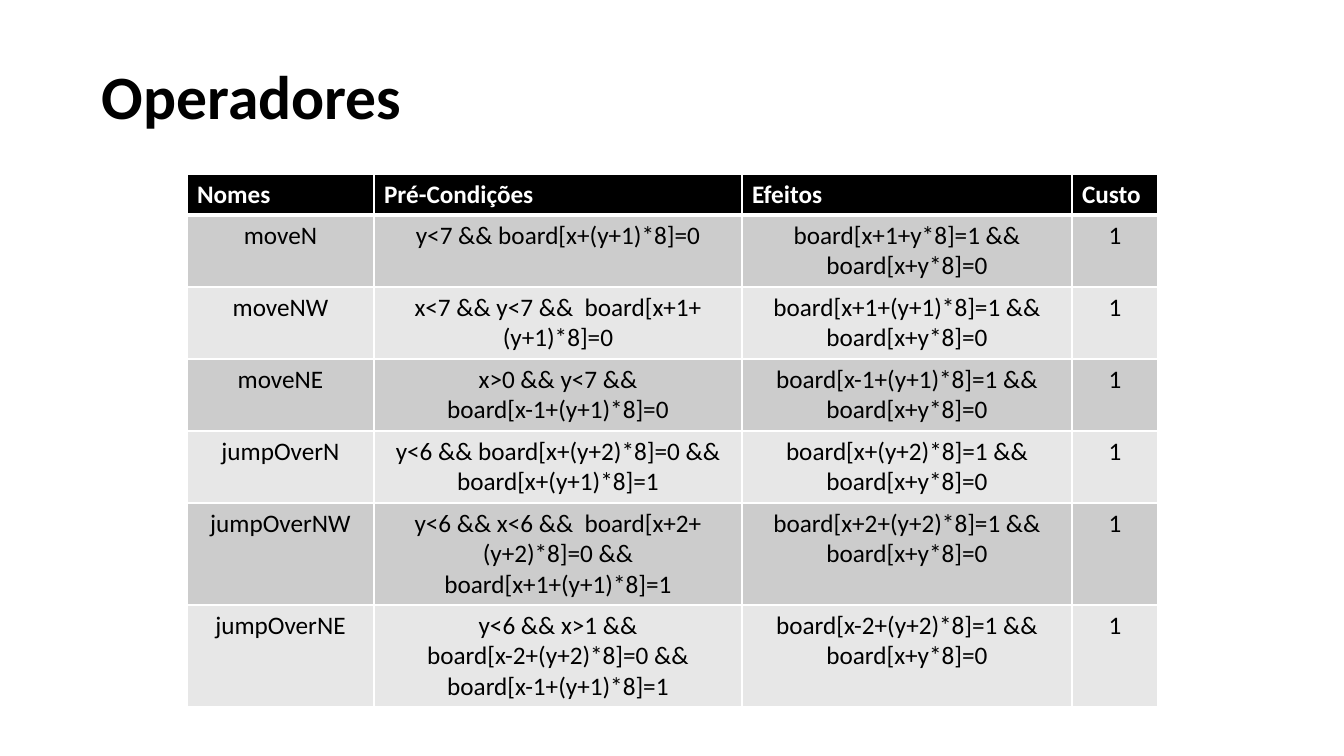
from dataclasses import dataclass

from lxml.etree import SubElement
from pptx import Presentation
from pptx.dml.color import RGBColor
from pptx.enum.text import MSO_ANCHOR, PP_ALIGN
from pptx.oxml.ns import qn
from pptx.util import Emu, Pt

PX_PER_INCH = 100.8


@dataclass(frozen=True)
class Theme:
    font: str = "Calibri"
    title_size: int = 44
    table_size: int = 18
    dark: str = "000000"
    light: str = "FFFFFF"
    bands: tuple = ("CCCCCC", "E7E7E7")
    thin_line: int = 1
    thick_line: int = 3


THEME = Theme()

HEADINGS = ("Nomes", "Pré-Condições", "Efeitos", "Custo")
OPERATORS = (
    ("moveN", "y<7 && board[x+(y+1)*8]=0",
     "board[x+1+y*8]=1 &&\nboard[x+y*8]=0", "1"),
    ("moveNW", "x<7 && y<7 &&  board[x+1+(y+1)*8]=0",
     "board[x+1+(y+1)*8]=1 &&\nboard[x+y*8]=0", "1"),
    ("moveNE", "x>0 && y<7 &&\nboard[x-1+(y+1)*8]=0",
     "board[x-1+(y+1)*8]=1 &&\nboard[x+y*8]=0", "1"),
    ("jumpOverN", "y<6 && board[x+(y+2)*8]=0 &&\nboard[x+(y+1)*8]=1",
     "board[x+(y+2)*8]=1 &&\nboard[x+y*8]=0", "1"),
    ("jumpOverNW", "y<6 && x<6 &&  board[x+2+(y+2)*8]=0 &&\nboard[x+1+(y+1)*8]=1",
     "board[x+2+(y+2)*8]=1 &&\nboard[x+y*8]=0", "1"),
    ("jumpOverNE", "y<6 && x>1 &&\nboard[x-2+(y+2)*8]=0 &&\nboard[x-1+(y+1)*8]=1",
     "board[x-2+(y+2)*8]=1 &&\nboard[x+y*8]=0", "1"),
)
COLUMN_WIDTHS = (187, 368, 330, 86)
ROW_HEIGHTS = (41, 72, 72, 72, 72, 102, 102)


def px(length):
    return Emu(round(length * 914400 / PX_PER_INCH))


def write_text(frame, text, size, color, bold=False, align=PP_ALIGN.LEFT):
    """Fill the frame with one paragraph for each line of the text."""
    frame.text = text
    for para in frame.paragraphs:
        para.alignment = align
        para.font.name = THEME.font
        para.font.size = Pt(size)
        para.font.bold = bold
        para.font.color.rgb = RGBColor.from_string(color)


def add_title(page, text, left, top, width, height):
    frame = page.shapes.add_textbox(px(left), px(top), px(width), px(height)).text_frame
    frame.word_wrap = True
    frame.vertical_anchor = MSO_ANCHOR.MIDDLE
    write_text(frame, text, THEME.title_size, THEME.dark, bold=True)
    frame.paragraphs[0].line_spacing = 0.9


def set_borders(cell, top, bottom):
    """Draw light borders; top and bottom are widths in points."""
    properties = cell._tc.get_or_add_tcPr()
    widths = {"a:lnL": THEME.thin_line, "a:lnR": THEME.thin_line,
              "a:lnT": top, "a:lnB": bottom}
    for tag, width in widths.items():
        line = SubElement(properties, qn(tag), w=str(Pt(width)))
        fill = SubElement(line, qn("a:solidFill"))
        SubElement(fill, qn("a:srgbClr"), val=THEME.light)


def style_cell(cell, row):
    set_borders(cell,
                top=THEME.thick_line if row == 1 else THEME.thin_line,
                bottom=THEME.thick_line if row == 0 else THEME.thin_line)
    color = THEME.bands[(row - 1) % 2] if row else THEME.dark
    cell.fill.solid()
    cell.fill.fore_color.rgb = RGBColor.from_string(color)


def add_operator_table(page, left, top):
    rows = (HEADINGS, *OPERATORS)
    table = page.shapes.add_table(
        len(rows), len(HEADINGS), px(left), px(top),
        px(sum(COLUMN_WIDTHS)), px(sum(ROW_HEIGHTS))).table
    for column, width in zip(table.columns, COLUMN_WIDTHS):
        column.width = px(width)
    for table_row, height in zip(table.rows, ROW_HEIGHTS):
        table_row.height = px(height)
    for row, texts in enumerate(rows):
        for column, text in enumerate(texts):
            cell = table.cell(row, column)
            style_cell(cell, row)
            if row == 0:
                write_text(cell.text_frame, text, THEME.table_size, THEME.light, bold=True)
            else:
                write_text(cell.text_frame, text, THEME.table_size, THEME.dark,
                           align=PP_ALIGN.CENTER)


def main():
    deck = Presentation()
    deck.slide_width, deck.slide_height = px(1344), px(756)
    page = deck.slides.add_slide(deck.slide_layouts[6])
    add_title(page, "Operadores", 92, 27, 1159, 146)
    add_operator_table(page, 187, 174)
    deck.save("out.pptx")


if __name__ == "__main__":
    main()
